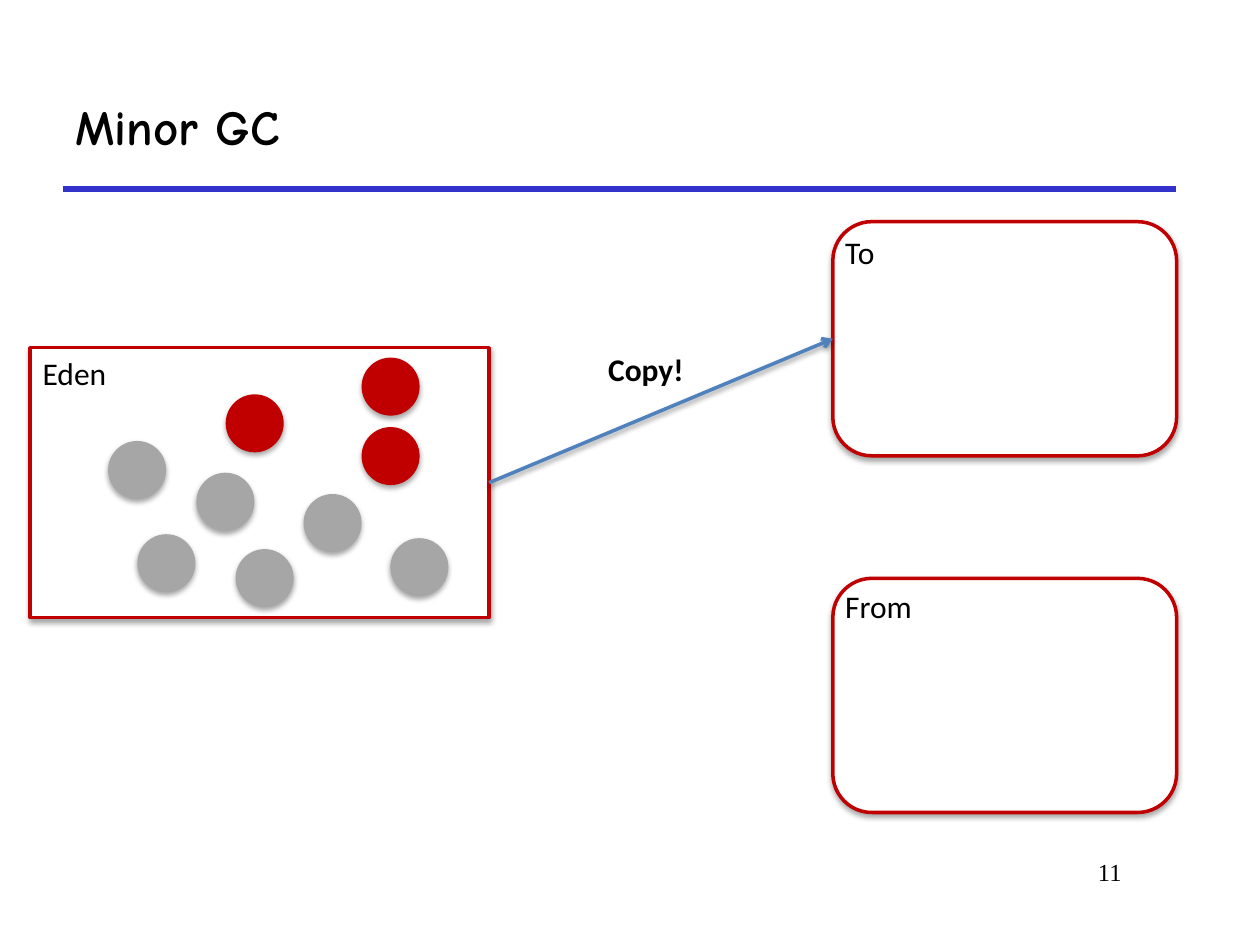
from pptx import Presentation
from pptx.dml.color import RGBColor
from pptx.enum.shapes import MSO_CONNECTOR, MSO_SHAPE
from pptx.enum.text import MSO_ANCHOR, PP_ALIGN
from pptx.oxml import parse_xml
from pptx.oxml.ns import nsdecls, qn
from pptx.util import Cm, Pt

BLACK = RGBColor(0x00, 0x00, 0x00)
WHITE = RGBColor(0xFF, 0xFF, 0xFF)
RED = RGBColor(0xC0, 0x00, 0x00)
GREY = RGBColor(0xA6, 0xA6, 0xA6)
RULE_BLUE = RGBColor(0x33, 0x33, 0xCC)
ARROW_BLUE = RGBColor(0x4F, 0x81, 0xBD)
STRAIGHT = MSO_CONNECTOR.STRAIGHT
RECTANGLE = MSO_SHAPE.RECTANGLE
ROUNDED = MSO_SHAPE.ROUNDED_RECTANGLE
OVAL = MSO_SHAPE.OVAL
TOP, MIDDLE = MSO_ANCHOR.TOP, MSO_ANCHOR.MIDDLE
LEFT, RIGHT = PP_ALIGN.LEFT, PP_ALIGN.RIGHT

OBJECT_SIZE = 1.17
LIVE_OBJECTS = [(4.55, 7.95), (7.29, 8.61), (7.29, 7.21)]
DEAD_OBJECTS = [(2.18, 8.89), (6.12, 9.96), (2.77, 10.77),
                (3.96, 9.53), (4.75, 11.07), (7.87, 10.85)]
SURVIVORS = [("To", 4.47, 4.57), ("From", 11.66, 11.71)]


def add_shadow(element, opacity, distance):
    """Give a shape or connector a soft shadow below it."""
    element._element.spPr.append(parse_xml(
        f'<a:effectLst {nsdecls("a")}><a:outerShdw blurRad="{Pt(3.1)}" '
        f'dist="{Pt(distance)}" dir="5400000" rotWithShape="0">'
        f'<a:srgbClr val="{BLACK}"><a:alpha val="{opacity * 1000}"/></a:srgbClr>'
        '</a:outerShdw></a:effectLst>'))


def add_text(slide, text, left, top, width, height, size=18, font="Calibri",
             bold=False, align=LEFT, anchor=TOP, wrap=True):
    """Add a text box holding one run."""
    frame = slide.shapes.add_textbox(
        Cm(left), Cm(top), Cm(width), Cm(height)).text_frame
    frame.word_wrap = wrap
    frame.vertical_anchor = anchor
    paragraph = frame.paragraphs[0]
    paragraph.alignment = align
    run = paragraph.add_run()
    run.text = text
    run.font.size = Pt(size)
    run.font.name = font
    run.font.bold = bold
    run.font.color.rgb = BLACK


def add_block(slide, kind, left, top, width, height, fill, outline=None):
    """Add a filled shape with a shadow and an optional outline."""
    shape = slide.shapes.add_shape(kind, Cm(left), Cm(top), Cm(width), Cm(height))
    shape.fill.solid()
    shape.fill.fore_color.rgb = fill
    if outline is None:
        shape.line.fill.background()
    else:
        shape.line.color.rgb = outline
        shape.line.width = Pt(2)
    add_shadow(shape, 35, 1.8)
    return shape


def add_line(slide, start, end, color, width):
    """Add a straight line between two points."""
    line = slide.shapes.add_connector(STRAIGHT, *map(Cm, start + end))
    line.line.color.rgb = color
    line.line.width = Pt(width)
    return line


def add_title(slide):
    """Add the title, the rule below it and the page number."""
    rule = add_line(slide, (1.27, 3.81), (23.7, 3.81), RULE_BLUE, 3)
    rule._element.spPr.append(parse_xml(f'<a:effectLst {nsdecls("a")}/>'))
    add_text(slide, "Minor GC", 1.27, 1.27, 22.43, 2.54, size=28,
             font="Comic Neue", bold=True, anchor=MIDDLE)
    add_text(slide, "11", 17.58, 17.15, 5.28, 1.27, size=14,
             font="Times New Roman", align=RIGHT)


def add_copy_arrow(slide, source, target):
    """Join two spaces with a shadowed arrow."""
    arrow = add_line(slide, (9.86, 9.73), (16.79, 6.83), ARROW_BLUE, 2)
    arrow.begin_connect(source, 3)
    arrow.end_connect(target, 1)
    arrow._element.spPr.find(qn("a:ln")).append(
        parse_xml(f'<a:tailEnd {nsdecls("a")} type="arrow"/>'))
    add_shadow(arrow, 38, 1.6)


def main():
    """Build the slide and save it."""
    presentation = Presentation()
    presentation.slide_width = Cm(25.4)
    presentation.slide_height = Cm(19.05)
    slide = presentation.slides.add_slide(presentation.slide_layouts[6])
    add_title(slide)

    eden = add_block(slide, RECTANGLE, 0.61, 7.01, 9.25, 5.44, WHITE, RED)
    add_text(slide, "Eden", 0.61, 7.01, 3.63, 1.02)
    spaces = {}
    for name, top, label_top in SURVIVORS:
        spaces[name] = add_block(slide, ROUNDED, 16.79, top, 6.93, 4.72, WHITE, RED)
        add_text(slide, name, 16.79, label_top, 3.76, 1.02)
    for color, positions in ((GREY, DEAD_OBJECTS), (RED, LIVE_OBJECTS)):
        for left, top in positions:
            add_block(slide, OVAL, left, top, OBJECT_SIZE, OBJECT_SIZE, color)

    add_copy_arrow(slide, eden, spaces["To"])
    add_text(slide, "Copy!", 12.01, 6.93, 2.06, 1.02, bold=True, wrap=False)
    presentation.save("out.pptx")


if __name__ == "__main__":
    main()
